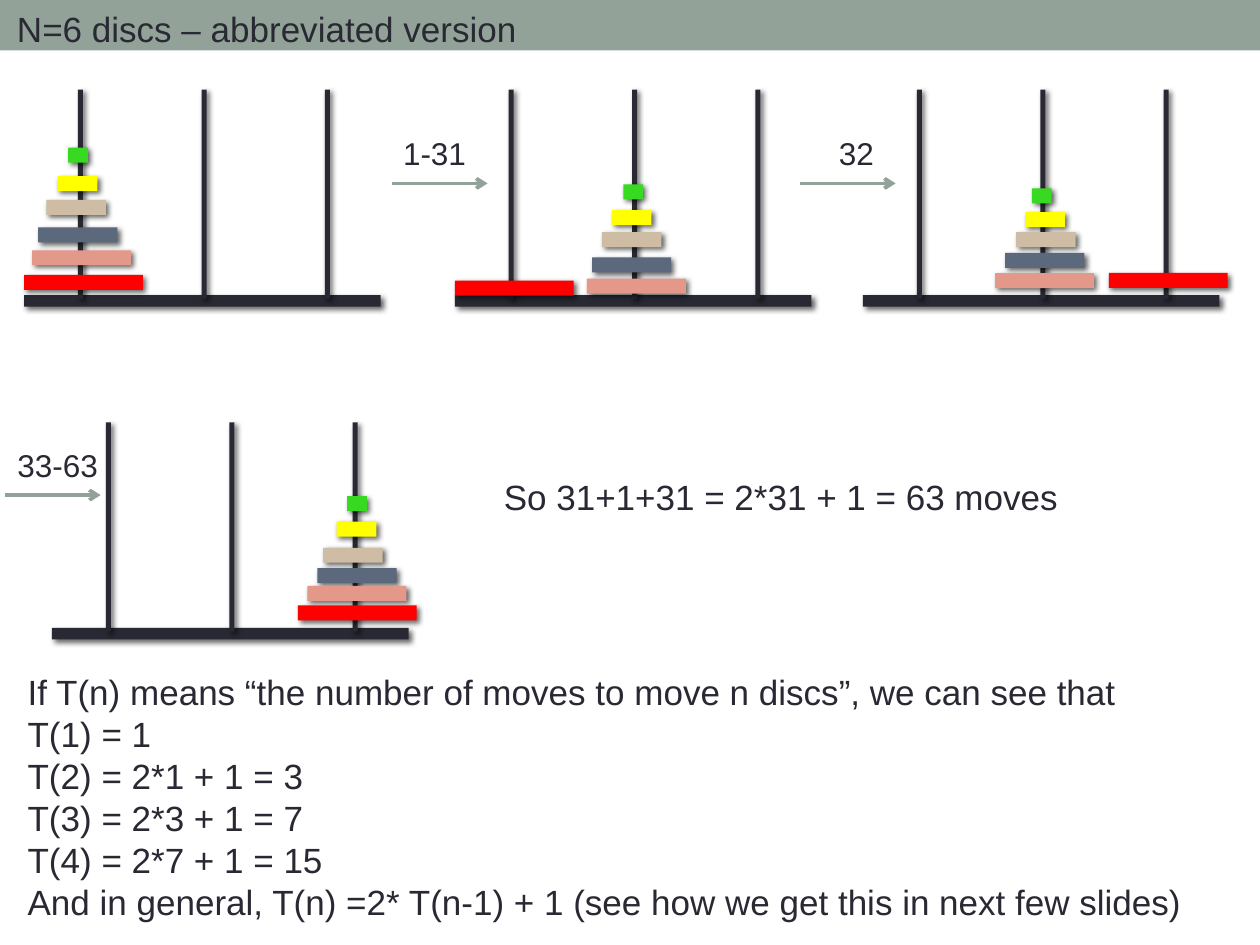
from dataclasses import dataclass
from typing import Optional

from lxml.etree import SubElement
from pptx import Presentation
from pptx.dml.color import RGBColor
from pptx.enum.shapes import MSO_CONNECTOR, MSO_SHAPE
from pptx.oxml.ns import qn
from pptx.util import Pt

# Colours
INK = RGBColor(0x29, 0x29, 0x34)
SAGE = RGBColor(0x93, 0xA2, 0x99)
GREEN = RGBColor(0x37, 0xDA, 0x20)
YELLOW = RGBColor(0xFF, 0xFF, 0x00)
TAN = RGBColor(0xCE, 0xBC, 0xA4)
SLATE = RGBColor(0x5C, 0x69, 0x7C)
PINK = RGBColor(0xE4, 0x98, 0x8A)
RED = RGBColor(0xFF, 0x00, 0x00)

# Sizes in points
DISC_COLORS = (GREEN, YELLOW, TAN, SLATE, PINK, RED)
DISC_STEP, DISC_HEIGHT = 11.32, 8.6
BASE_WIDTH, BASE_HEIGHT = 203.8, 6.6
PEG_OFFSETS = (30.8, 101.4, 171.8)
PEG_WIDTH, PEG_HEIGHT, PEG_RISE = 2.9, 119.5, 117.4
ARROW_LENGTH = 54.6
LABEL_RISE = 31.7


@dataclass
class Move:
    label: str
    arrow_left: float
    arrow_top: float
    label_left: float
    label_width: float


@dataclass
class Stage:
    left: float
    base_top: float
    discs: tuple[tuple[float, float], ...]  # left and top, smallest disc first
    move: Optional[Move] = None


STAGES = (
    Stage(13.8, 168.6, ((38.9, 84.4), (33, 100.6), (26.6, 114.2),
                        (21.8, 129.9), (18.3, 143), (13.8, 157.1))),
    Stage(259.9, 168.6, ((356.2, 105.3), (349.6, 120.1), (344, 132.6),
                         (338.3, 147.1), (335.4, 159.2), (259.9, 160.4)),
          Move("1-31", 224, 104.8, 223.2, 51)),
    Stage(493.1, 168.6, ((589.7, 107.6), (585.9, 121.2), (580.7, 132.6),
                         (574.4, 144.5), (568.6, 156.1), (633.6, 156)),
          Move("32", 457.2, 104.8, 472.3, 51)),
    Stage(29.7, 358.8, ((198.4, 283.5), (192.4, 298.1), (184.7, 313),
                        (181.4, 324.6), (175.7, 334.8), (170.2, 345.9)),
          Move("33-63", 2.9, 282.9, 2.9, 65.5)),
)

CONCLUSIONS = (
    "If T(n) means “the number of moves to move n discs”, we can see that",
    "T(1) = 1",
    "T(2) = 2*1 + 1 = 3",
    "T(3) = 2*3 + 1 = 7",
    "T(4) = 2*7 + 1 = 15",
    "And in general, T(n) =2* T(n-1) + 1 (see how we get this in next few slides)",
)


def add_shadow(shape) -> None:
    effects = shape._element.spPr.find(qn("a:effectLst"))
    shadow = SubElement(effects, qn("a:outerShdw"), blurRad=str(Pt(3)),
                        dist=str(Pt(2)), dir=str(45 * 60000), rotWithShape="0")
    color = SubElement(shadow, qn("a:srgbClr"), val="000000")
    SubElement(color, qn("a:alpha"), val="60000")


def add_bar(slide, left: float, top: float, width: float, height: float,
            color: RGBColor, shadow: bool = True) -> None:
    shape = slide.shapes.add_shape(MSO_SHAPE.RECTANGLE, Pt(left), Pt(top),
                                   Pt(width), Pt(height))
    shape.fill.solid()
    shape.fill.fore_color.rgb = color
    shape.line.fill.background()
    shape.shadow.inherit = False
    if shadow:
        add_shadow(shape)


def add_text(slide, left: float, top: float, width: float, height: float,
             text: str, size: float = 20) -> None:
    box = slide.shapes.add_textbox(Pt(left), Pt(top), Pt(width), Pt(height))
    text_frame = box.text_frame
    text_frame.word_wrap = True
    text_frame.text = text
    for paragraph in text_frame.paragraphs:
        for run in paragraph.runs:
            run.font.name = "Arial"
            run.font.size = Pt(size)
            run.font.color.rgb = INK


def add_move(slide, move: Move) -> None:
    arrow = slide.shapes.add_connector(
        MSO_CONNECTOR.STRAIGHT, Pt(move.arrow_left), Pt(move.arrow_top),
        Pt(move.arrow_left + ARROW_LENGTH), Pt(move.arrow_top))
    arrow.line.color.rgb = SAGE
    arrow.line.width = Pt(2.08)
    SubElement(arrow.line._get_or_add_ln(), qn("a:tailEnd"), type="arrow")
    SubElement(arrow._element.spPr, qn("a:effectLst"))
    add_text(slide, move.label_left, move.arrow_top - LABEL_RISE,
             move.label_width, 29, move.label, 18)


def add_stage(slide, stage: Stage) -> None:
    # Base and pegs
    add_bar(slide, stage.left, stage.base_top, BASE_WIDTH, BASE_HEIGHT, INK)
    for offset in PEG_OFFSETS:
        add_bar(slide, stage.left + offset, stage.base_top - PEG_RISE,
                PEG_WIDTH, PEG_HEIGHT, INK)
    # Discs grow by one step each
    for number, (color, (left, top)) in enumerate(zip(DISC_COLORS, stage.discs), 1):
        add_bar(slide, left, top, number * DISC_STEP, DISC_HEIGHT, color)
    if stage.move:
        add_move(slide, stage.move)


def main() -> None:
    presentation = Presentation()
    presentation.slide_width, presentation.slide_height = Pt(720), Pt(540)
    slide = presentation.slides.add_slide(presentation.slide_layouts[6])

    # Title band
    add_bar(slide, 0, 0, 720, 28.8, SAGE, shadow=False)
    add_text(slide, 2.6, 0.9, 470, 31.5, "N=6 discs – abbreviated version")

    # Towers
    for stage in STAGES:
        add_stage(slide, stage)

    # Conclusions
    add_text(slide, 280.8, 267.9, 416, 31.5, "So 31+1+31 = 2*31 + 1 = 63 moves")
    add_text(slide, 8.7, 379.3, 711.3, 152.6, "\n".join(CONCLUSIONS))

    presentation.save("out.pptx")


if __name__ == "__main__":
    main()
